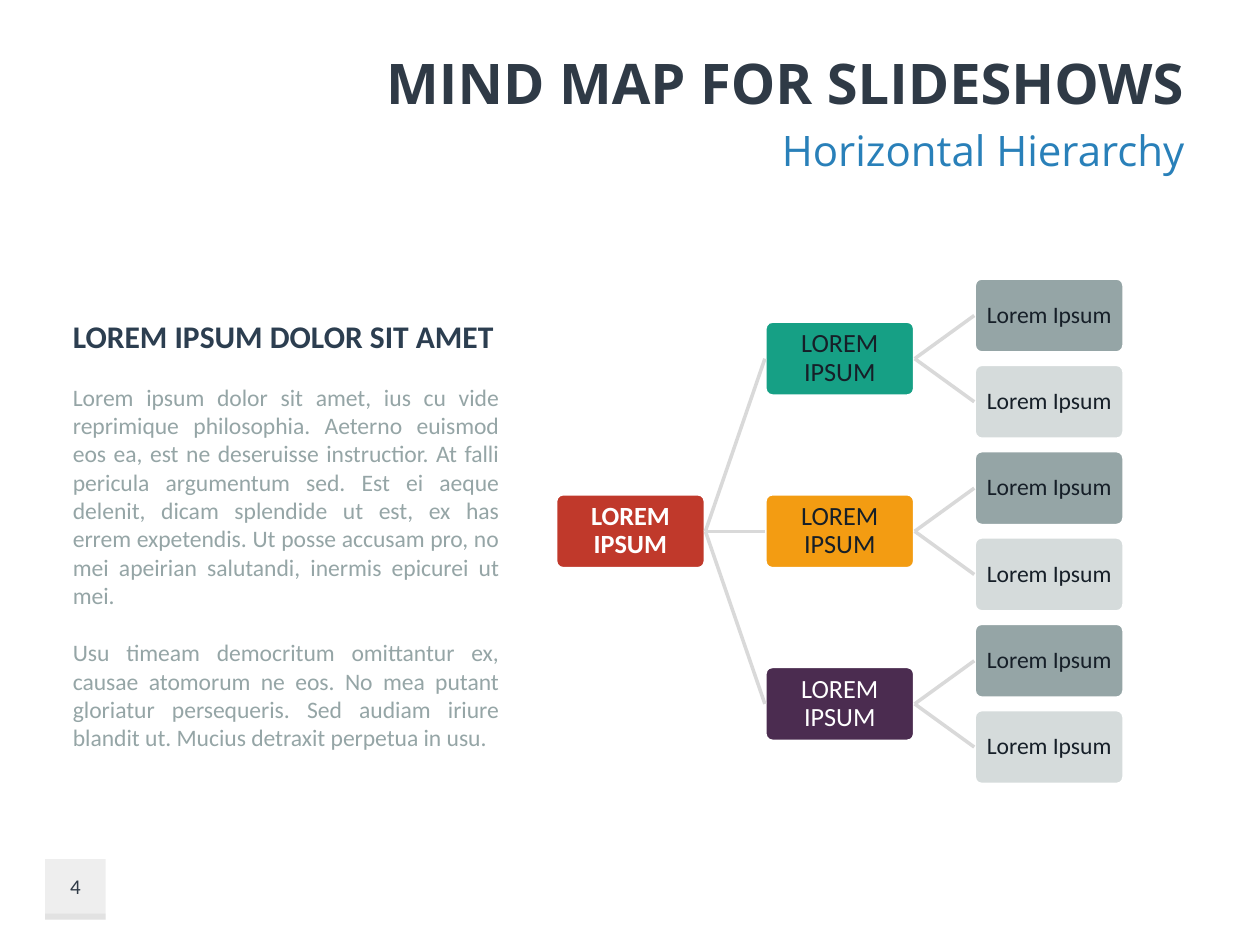
from lxml import etree
from pptx import Presentation
from pptx import util as u
from pptx.dml.color import RGBColor
from pptx.enum import shapes, text
from pptx.oxml.ns import qn

HUES = {
    "title": "2F3A46", "blue": "2980B9", "navy": "2C3E50",
    "white": "FFFFFF", "ink": "161F28", "red": "C0392B",
    "green": "16A085", "amber": "F39C12", "plum": "4B2C50",
    "slate": "95A5A6", "pale": "D5DBDB", "line": "D9D9D9", "badge": "BFBFBF",
}
BOX_W, BOX_H = 3.02, 1.51
COLS = [11.2 + 4.22 * col for col in range(3)]
LEAF_TOP, LEAF_STEP = 6.36, 1.74
BRANCHES = [("green", "ink"), ("amber", "ink"), ("plum", "white")]
BODY = [
    "Lorem ipsum dolor sit amet, ius cu vide reprimique philosophia. "
    "Aeterno euismod eos ea, est ne deseruisse instructior. At falli "
    "pericula argumentum sed. Est ei aeque delenit, dicam splendide ut est, "
    "ex has errem expetendis. Ut posse accusam pro, no mei apeirian "
    "salutandi, inermis epicurei ut mei.",
    "Usu timeam democritum omittantur ex, causae atomorum ne eos. No mea "
    "putant gloriatur persequeris. Sed audiam iriure blandit ut. Mucius "
    "detraxit perpetua in usu.",
]


def color(name):
    return RGBColor.from_string(HUES[name])


def write(shape, *lines, size, hue, font="Calibri", bold=False, align="LEFT",
          anchor="MIDDLE", inset=None, before=0, gap=0, spacing=None):
    frame = shape.text_frame
    frame.word_wrap = True
    frame.vertical_anchor = getattr(text.MSO_ANCHOR, anchor)
    if inset is not None:
        frame.margin_left = frame.margin_right = u.Cm(inset)
        frame.margin_top = frame.margin_bottom = u.Cm(inset)
    for i, line in enumerate(lines):
        para = frame.add_paragraph() if i else frame.paragraphs[0]
        para.alignment = getattr(text.PP_ALIGN, align)
        para.space_before = u.Pt(gap if i else before)
        if spacing:
            para.line_spacing = spacing
        run = para.add_run()
        run.text = line
        run.font.name = font
        run.font.size = u.Pt(size)
        run.font.bold = bold
        run.font.color.rgb = color(hue)


def label(slide, x, y, w, h, *lines, **style):
    box = slide.shapes.add_textbox(u.Cm(x), u.Cm(y), u.Cm(w), u.Cm(h))
    write(box, *lines, **style)


def block(slide, kind, x, y, w, h, fill):
    shape = slide.shapes.add_shape(kind, u.Cm(x), u.Cm(y), u.Cm(w), u.Cm(h))
    shape.shadow.inherit = False
    shape.fill.solid()
    shape.fill.fore_color.rgb = color(fill)
    shape.line.fill.background()
    return shape


def node(slide, col, mid, words, fill, hue, size=15, bold=False):
    box = block(slide, shapes.MSO_SHAPE.ROUNDED_RECTANGLE,
                COLS[col], mid - BOX_H / 2, BOX_W, BOX_H, fill)
    box.adjustments[0] = 0.1
    box.line.color.rgb = color("white")
    box.line.width = u.Pt(2)
    write(box, words, size=size, hue=hue, bold=bold, align="CENTER",
          inset=0.1, spacing=0.9)


def link(slide, col, start, end):
    line = slide.shapes.add_connector(
        shapes.MSO_CONNECTOR.STRAIGHT, u.Cm(COLS[col] + BOX_W), u.Cm(start),
        u.Cm(COLS[col + 1]), u.Cm(end))
    line.line.color.rgb = color("line")
    line.line.width = u.Pt(2)
    etree.SubElement(line._element.spPr, qn("a:effectLst"))


def tint(slide, x, y, w, h):
    shape = block(slide, shapes.MSO_SHAPE.RECTANGLE, x, y, w, h, "badge")
    tone = shape._element.spPr.find(qn("a:solidFill")).find(qn("a:srgbClr"))
    etree.SubElement(tone, qn("a:alpha")).set("val", "25000")


def draw_map(slide):
    leaves = [LEAF_TOP + LEAF_STEP * i for i in range(2 * len(BRANCHES))]
    mids = [(a + b) / 2 for a, b in zip(leaves[::2], leaves[1::2])]
    root = mids[1]
    node(slide, 0, root, "LOREM IPSUM", "red", "white", bold=True)
    for mid, (fill, hue) in zip(mids, BRANCHES):
        node(slide, 1, mid, "LOREM IPSUM", fill, hue)
        link(slide, 0, root, mid)
    for i, leaf in enumerate(leaves):
        fill = "pale" if i % 2 else "slate"
        node(slide, 2, leaf, "Lorem Ipsum", fill, "ink", size=13.5)
        link(slide, 1, mids[i // 2], leaf)


def main():
    deck = Presentation()
    deck.slide_width, deck.slide_height = u.Cm(25.4), u.Cm(19.05)
    slide = deck.slides.add_slide(deck.slide_layouts[6])

    tint(slide, 0.91, 17.32, 1.22, 1.22)
    tint(slide, 0.91, 18.42, 1.22, 0.12)
    label(slide, 0.91, 17.32, 1.22, 1.1, "4", size=12, hue="title",
          align="CENTER")

    label(slide, 4.52, 0.84, 19.61, 1.63, "MIND MAP FOR SLIDESHOWS", size=32,
          hue="title", font="Open Sans", bold=True, align="RIGHT")
    label(slide, 4.52, 2.39, 19.61, 1.27, "Horizontal Hierarchy", size=24,
          hue="blue", font="Open Sans", align="RIGHT", before=4.8)

    draw_map(slide)

    label(slide, 1.22, 6.25, 9.09, 1.02, "LOREM IPSUM DOLOR SIT AMET",
          size=18, hue="navy", bold=True, anchor="BOTTOM")
    label(slide, 1.22, 7.59, 9.09, 7.75, *BODY, size=13.5, hue="slate",
          align="JUSTIFY", anchor="TOP", gap=16.5)

    deck.save("out.pptx")


if __name__ == "__main__":
    main()
